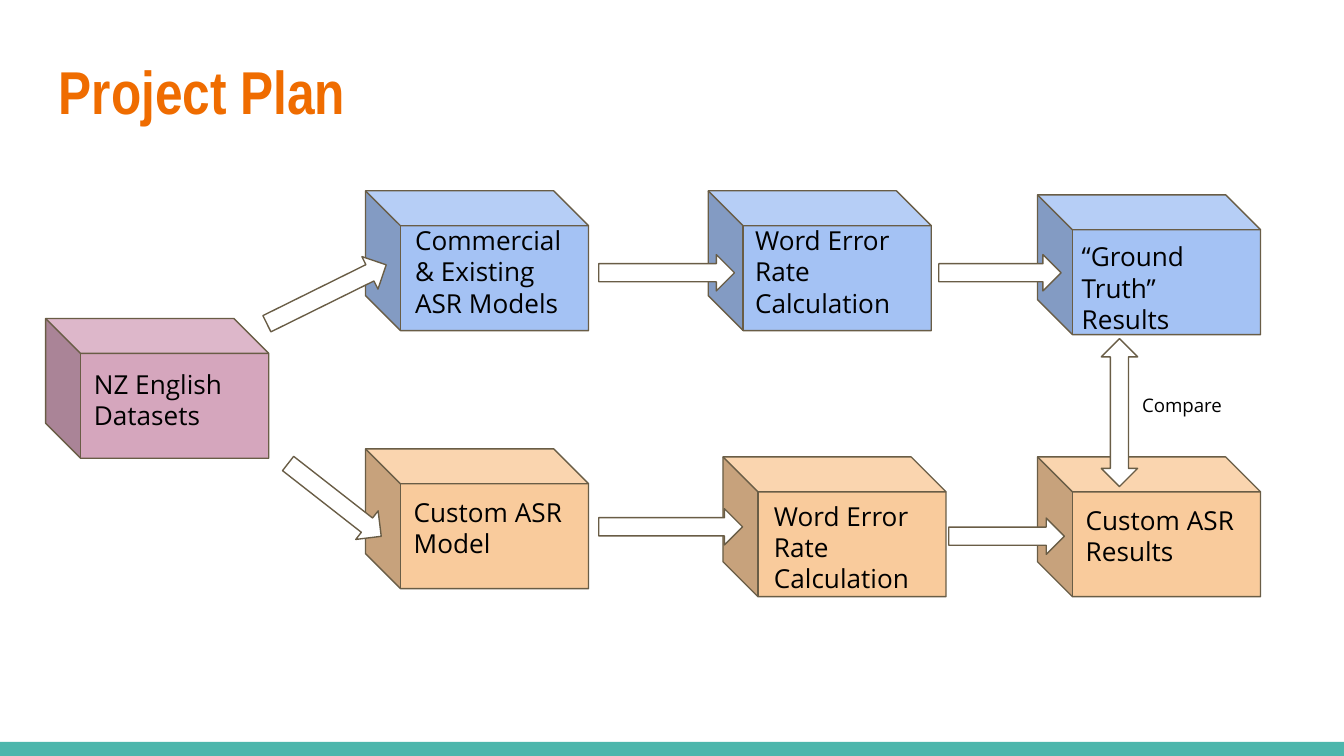
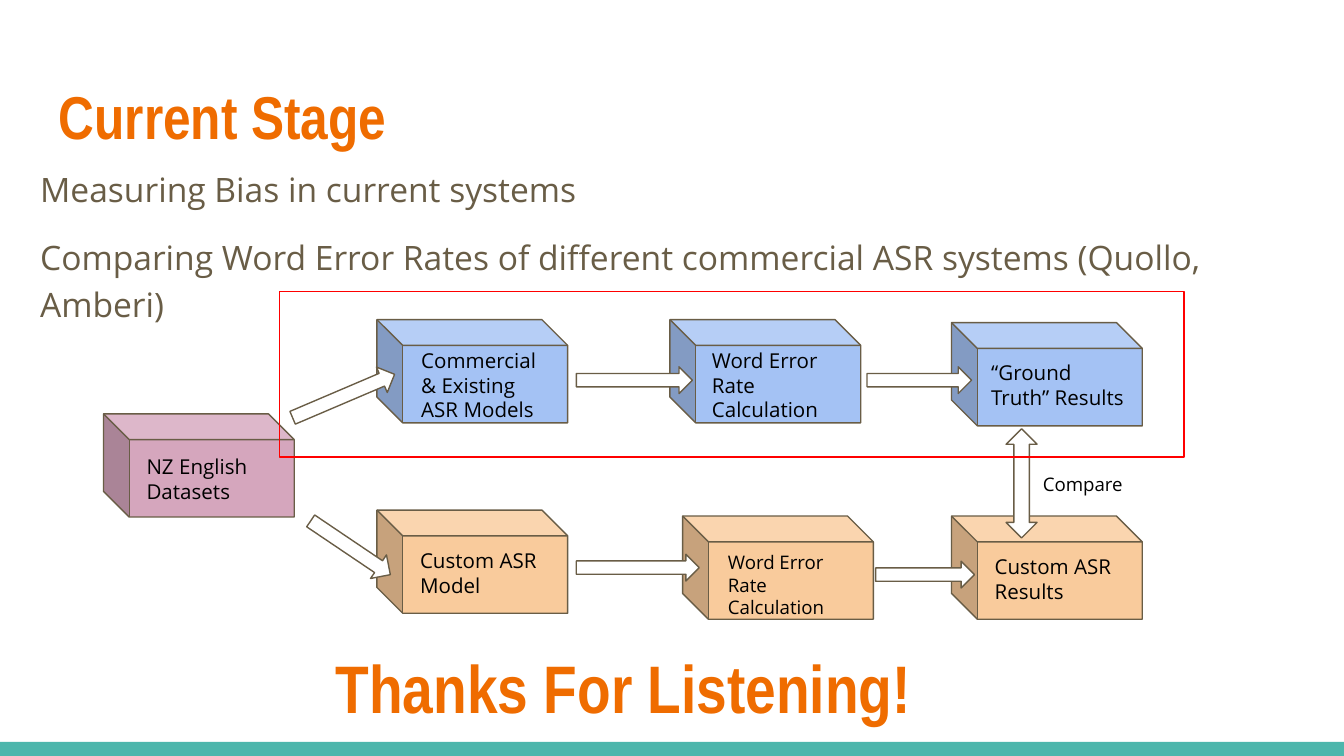
from math import atan2, cos, degrees, hypot, radians, sin

from pptx import Presentation
from pptx.dml.color import RGBColor
from pptx.enum.shapes import MSO_SHAPE
from pptx.enum.text import MSO_ANCHOR, MSO_AUTO_SIZE
from pptx.util import Inches, Pt

ORANGE = RGBColor(0xEF, 0x6C, 0x00)
TEAL = RGBColor(0x4D, 0xB6, 0xAC)
BROWN = RGBColor(0x69, 0x5D, 0x46)
BLUE = RGBColor(0xA4, 0xC2, 0xF4)
PINK = RGBColor(0xD5, 0xA6, 0xBD)
PEACH = RGBColor(0xF9, 0xCB, 0x9C)
WHITE = RGBColor(0xFF, 0xFF, 0xFF)
BLACK = RGBColor(0, 0, 0)
RED = RGBColor(0xFF, 0, 0)
HEAD = "Arial Narrow"
BODY = "Open Sans"

# Flow diagram at full size: cubes as left, top, colour
LEFT, TOP = 0.34, 2.37
CUBES = [
    (2.72, 1.42, BLUE), (5.27, 1.42, BLUE), (7.72, 1.45, BLUE),
    (LEFT, TOP, PINK),
    (2.72, 3.34, PEACH), (5.38, 3.4, PEACH), (7.72, 3.4, PEACH),
]
# Labels as left, top, width, text, then (size, lines) on each slide
LABELS = [
    (0.6, 2.64, 1.4, "NZ English Datasets", (14, 2), (11, 2)),
    (7.98, 3.65, 1.4, "Custom ASR Results", (14, 2), (11, 2)),
    (5.52, 1.57, 1.4, "Word Error Rate Calculation", (14, 3), (11, 3)),
    (2.98, 3.59, 1.4, "Custom ASR Model", (14, 2), (11, 2)),
    (7.95, 1.69, 1.4, "“Ground Truth” Results", (14, 3), (11, 2)),
    (2.99, 1.57, 1.4, "Commercial & Existing ASR Models", (14, 3), (11, 3)),
    (5.66, 3.62, 1.4, "Word Error Rate Calculation", (14, 3), (10, 3)),
    (8.4, 2.85, 1.07, "Compare", (10, 1), (10, 1)),
]
# Arrows as centre x, centre y, length, angle
ARROWS = [
    (8.33, 3.07, 1.1, -90), (2.43, 2.19, 0.99, -26.3), (2.49, 3.72, 0.88, 38),
    (4.96, 2.03, 1.01, 0), (4.99, 3.92, 1.07, 0),
    (7.44, 2.03, 0.91, 0), (7.49, 3.99, 0.86, 0),
]
THICK = 0.27

# Slides as title, title top, diagram left, top, x scale, y scale
SLIDES = [
    ("Project Plan", 0.3, LEFT, TOP, 1, 1),
    ("Current Stage", 0.49, 0.77, 3.08, 0.855, 0.738),
]


def draw(slide, kind, x, y, w, h, fill=None, line=None):
    shape = slide.shapes.add_shape(kind, Inches(x), Inches(y), Inches(w), Inches(h))
    shape.shadow.inherit = False
    for part, color in ((shape.fill, fill), (shape.line.fill, line)):
        if color is None:
            part.background()
        else:
            part.solid()
            part.fore_color.rgb = color
    if line is not None:
        shape.line.width = Pt(0.75)
    return shape


def write(slide, text, x, y, w, h, size, font=BODY, color=BLACK):
    box = slide.shapes.add_textbox(Inches(x), Inches(y), Inches(w), Inches(h))
    frame = box.text_frame
    frame.word_wrap = True
    frame.vertical_anchor = MSO_ANCHOR.TOP
    frame.margin_left = frame.margin_right = Inches(0.1)
    frame.margin_top = frame.margin_bottom = Inches(0.1)
    frame.text = text
    for para in frame.paragraphs:
        for run in para.runs:
            run.font.name = font
            run.font.size = Pt(size)
            run.font.color.rgb = color
            run.font.bold = font == HEAD
    return frame


# Widescreen, 16 to 9
deck = Presentation()
deck.slide_width = Inches(10)
deck.slide_height = Inches(10) * 9 // 16

for page, (title, top, left, base, sx, sy) in enumerate(SLIDES):
    slide = deck.slides.add_slide(deck.slide_layouts[6])
    slide.background.fill.solid()
    slide.background.fill.fore_color.rgb = WHITE

    # Band and title
    draw(slide, MSO_SHAPE.RECTANGLE, 0, 5.52, 10, 0.11, TEAL)
    write(slide, title, 0.34, top, 9.32, 0.77, 32.4, HEAD, ORANGE)

    # Body and closing words
    if page == 1:
        frame = write(
            slide,
            "Measuring Bias in current systems\n"
            "Comparing Word Error Rates of different commercial ASR systems "
            "(Quollo, Amberi)",
            0.2, 1.11, 9.32, 1.5, 18, BODY, BROWN)
        for para in frame.paragraphs:
            para.line_spacing = 1.15
        para.space_before = para.space_after = Pt(12)
        write(slide, "Thanks For Listening!", 2.4, 4.71, 4.92, 1.03, 36, HEAD, ORANGE)

    # Cubes, mirrored so the dark side is on the left
    for x, y, color in CUBES:
        cube = draw(slide, MSO_SHAPE.CUBE, left + (x - LEFT) * sx,
                    base + (y - TOP) * sy, 1.66 * sx, 1.04 * sy, color, BROWN)
        cube._element.spPr.xfrm.set("flipH", "1")

    # Labels, as high as their lines
    for x, y, w, text, *sizes in LABELS:
        size, lines = sizes[page]
        frame = write(slide, text, left + (x - LEFT) * sx, base + (y - TOP) * sy,
                      w * sx, 0.2 + lines * size * 1.2 / 72, size)
        frame.auto_size = MSO_AUTO_SIZE.SHAPE_TO_FIT_TEXT

    # Arrows, scaled along and across their direction
    for x, y, size, angle in ARROWS:
        dx, dy = cos(radians(angle)), sin(radians(angle))
        w = size * hypot(dx * sx, dy * sy)
        h = THICK * hypot(dy * sx, dx * sy)
        kind = MSO_SHAPE.LEFT_RIGHT_ARROW if angle == -90 else MSO_SHAPE.RIGHT_ARROW
        arrow = draw(slide, kind, left + (x - LEFT) * sx - w / 2,
                     base + (y - TOP) * sy - h / 2, w, h, WHITE, BROWN)
        arrow.rotation = degrees(atan2(dy * sy, dx * sx)) % 360

    # Frame around the current stage
    if page == 1:
        draw(slide, MSO_SHAPE.RECTANGLE, 2.08, 2.17, 6.73, 1.23, line=RED)

deck.save("out.pptx")
